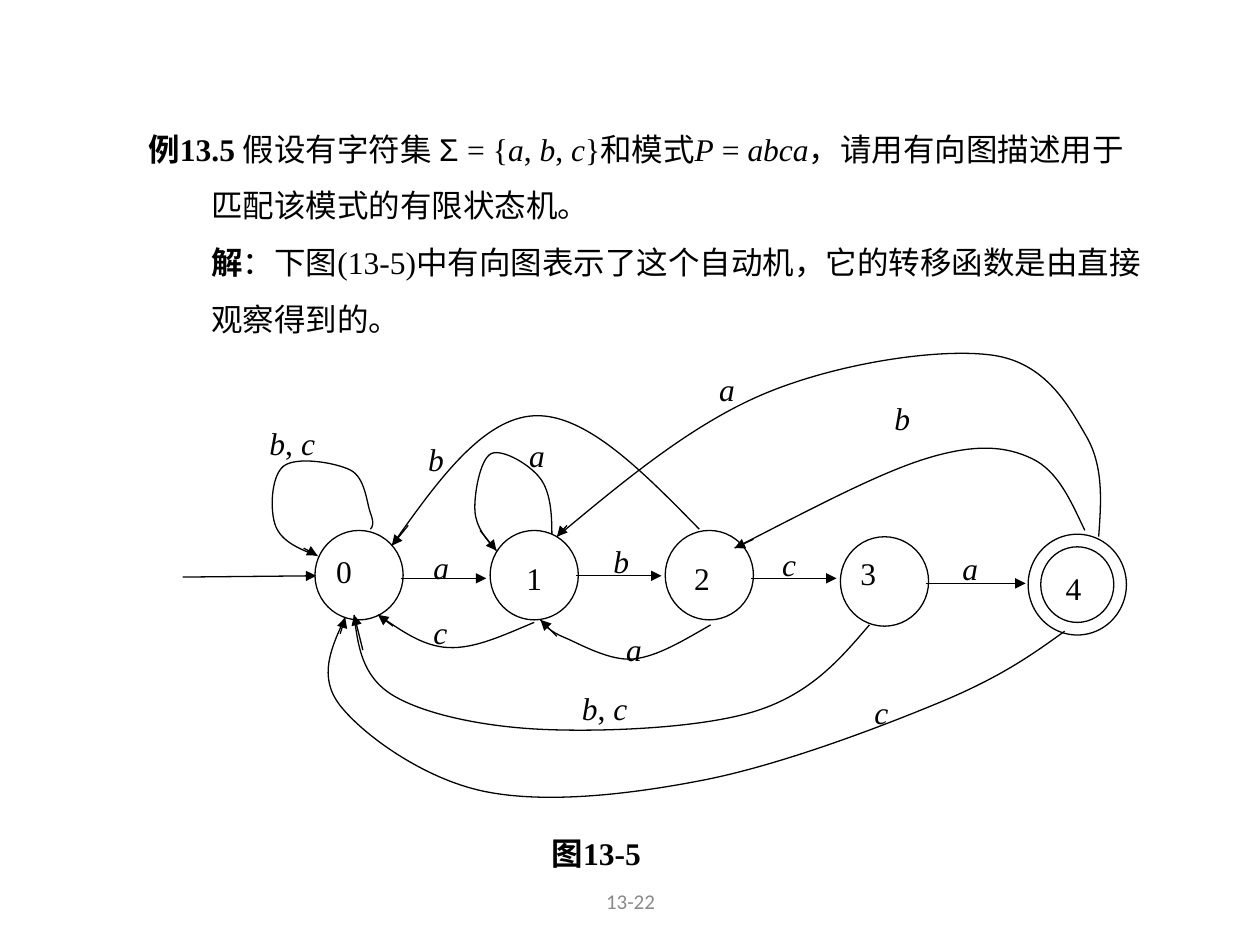
from dataclasses import dataclass
from itertools import groupby

import pptx
import pptx.dml.color
import pptx.enum.shapes
import pptx.enum.text
import pptx.oxml
import pptx.oxml.ns
import pptx.util

PX = 9144  # EMU per px, 100 px to the inch
BLACK = pptx.dml.color.RGBColor(0x00, 0x00, 0x00)
GREY = pptx.dml.color.RGBColor(0x89, 0x89, 0x89)
BODY_FORMAT = {"name": "Times New Roman", "size": pptx.util.Pt(18), "bold": False, "italic": False}
FOOTER_FORMAT = BODY_FORMAT | {"name": "Calibri", "size": pptx.util.Pt(12)}
BOLD = {"bold": True}
ITALIC = {"italic": True}
DRAWING_NS = pptx.oxml.ns.nsdecls("a")
STATE_PITCH = 139
LABEL_SIZE = (91, 70)

Point = tuple[int, int]
Box = tuple[int, int, int, int]


@dataclass
class Label:
    text: str
    corner: Point


@dataclass
class Transition:
    """A smooth curve through points; head runs back from its tip."""
    points: list[Point]
    head: Point


TRANSITIONS = [
    # Loops at 0 and 1
    Transition([(294, 420), (294, 407), (278, 373), (225, 370), (219, 418), (252, 441)], (-11, -6)),
    Transition([(438, 424), (429, 380), (390, 360), (377, 406), (394, 437)], (-13, -16)),
    # 1 to 0, 2 to 0, 2 to 1, 3 to 0
    Transition([(424, 494), (356, 514), (300, 488)], (12, 9)),
    Transition([(555, 420), (424, 330), (311, 433)], (13, -16)),
    Transition([(564, 496), (503, 523), (448, 506), (429, 492)], (13, 13)),
    Transition([(690, 496), (601, 564), (432, 579), (312, 552), (281, 488)], (7, 28)),
    # 4 to 0, 4 to 1, 4 to 2
    Transition([(845, 501), (747, 557), (559, 619), (384, 628), (270, 560), (274, 490)], (-4, 13)),
    Transition([(872, 426), (862, 346), (788, 282), (608, 312), (442, 426)], (8, -9)),
    Transition([(861, 421), (819, 364), (735, 364), (583, 435)], (15, -7)),
]

STATE_NAMES = [
    Label("0", (257, 433)), Label("1", (408, 439)), Label("2", (541, 439)),
    Label("3", (673, 435)), Label("4", (836, 447)),
]
TRANSITION_LABELS = [
    Label("a", (334, 430)), Label("b", (477, 425)), Label("c", (611, 428)), Label("a", (754, 431)),
    Label("b, c", (204, 332)), Label("a", (410, 341)), Label("c", (334, 482)),
    Label("b", (330, 344)), Label("a", (487, 495)), Label("b, c", (452, 542)),
    Label("c", (684, 545)), Label("a", (561, 289)), Label("b", (700, 312)),
]

QUESTION = [
    ("例13.5 ", BOLD), ("假设有字符集 ", {}), ("Σ ", {"name": "Arial"}), ("= {", {}),
    ("a", ITALIC), (", ", {}), ("b", ITALIC), (", ", {}), ("c", ITALIC), ("}和模式", {}),
    ("P", ITALIC), (" = ", {}), ("abca", ITALIC),
    ("，请用有向图描述用于匹配该模式的有限状态机。", {}),
]
ANSWER = [
    ("解", BOLD),
    ("：下图(13-5)中有向图表示了这个自动机，它的转移函数是由直接观察得到的。", {}),
]


def emu(*lengths: int) -> list[int]:
    return [length * PX for length in lengths]


def add_text_box(slide, box: Box):
    frame = slide.shapes.add_textbox(*emu(*box)).text_frame
    frame.word_wrap = True
    return frame


def add_runs(paragraph, runs, base=BODY_FORMAT, color=BLACK) -> None:
    for text, changes in runs:
        run = paragraph.add_run()
        run.text = text
        for attribute, value in (base | changes).items():
            setattr(run.font, attribute, value)
        run.font.color.rgb = color


def set_line(shape) -> None:
    shape.line.color.rgb = BLACK
    shape.line.width = pptx.util.Pt(0.75)


def draw_circle(slide, box: Box) -> None:
    circle = slide.shapes.add_shape(pptx.enum.shapes.MSO_SHAPE.OVAL, *emu(*box))
    circle.shadow.inherit = False
    circle.fill.background()
    set_line(circle)


def draw_arrow(slide, start: Point, end: Point) -> None:
    line = slide.shapes.add_connector(
        pptx.enum.shapes.MSO_CONNECTOR.STRAIGHT, *emu(*start, *end))
    set_line(line)
    line.line._get_or_add_ln().append(
        pptx.oxml.parse_xml(f'<a:tailEnd {DRAWING_NS} type="triangle"/>'))
    line._element.spPr.append(pptx.oxml.parse_xml(f"<a:effectLst {DRAWING_NS}/>"))


def middle(one: Point, other: Point) -> Point:
    return round((one[0] + other[0]) / 2), round((one[1] + other[1]) / 2)


def bezier_points(points: list[Point]) -> list[Point]:
    """Give two controls and an end for each span, each joint following its neighbours."""
    entering, leaving = {}, {}
    for i in range(1, len(points) - 1):
        (x, y), before, after = points[i], points[i - 1], points[i + 1]
        dx, dy = (after[0] - before[0]) / 6, (after[1] - before[1]) / 6
        entering[i] = round(x - dx), round(y - dy)
        leaving[i] = round(x + dx), round(y + dy)
    last = len(points) - 1
    leaving[0] = middle(points[0], entering[1])
    entering[last] = middle(leaving[last - 1], points[last])
    return [point for i in range(last)
            for point in (leaving[i], entering[i + 1], points[i + 1])]


def draw_transition(slide, transition: Transition) -> None:
    builder = slide.shapes.build_freeform(*transition.points[0], scale=PX)
    builder.add_line_segments(bezier_points(transition.points), close=False)
    curve = builder.convert_to_shape()
    # Join every three straight segments into one Bézier segment
    segments = curve._element.findall(".//" + pptx.oxml.ns.qn("a:lnTo"))
    for first in range(0, len(segments), 3):
        bezier = pptx.oxml.parse_xml(f"<a:cubicBezTo {DRAWING_NS}/>")
        segments[first].addprevious(bezier)
        for segment in segments[first:first + 3]:
            bezier.append(segment[0])
            segment.getparent().remove(segment)
    curve.shadow.inherit = False
    curve.fill.background()
    set_line(curve)
    tip, back = transition.points[-1], transition.head
    draw_arrow(slide, (tip[0] + back[0], tip[1] + back[1]), tip)


def draw_label(slide, label: Label) -> None:
    runs = [("".join(part), ITALIC if letters else {})
            for letters, part in groupby(label.text, str.isalpha)]
    add_runs(add_text_box(slide, (*label.corner, *LABEL_SIZE)).paragraphs[0], runs)


def draw_exercise(slide) -> None:
    frame = add_text_box(slide, (108, 83, 808, 190))
    frame.auto_size = pptx.enum.text.MSO_AUTO_SIZE.SHAPE_TO_FIT_TEXT
    for paragraph, runs, indent in (
            (frame.paragraphs[0], QUESTION, -50), (frame.add_paragraph(), ANSWER, 0)):
        paragraph.line_spacing = 1.5
        properties = paragraph._p.get_or_add_pPr()
        properties.set("marL", str(50 * PX))
        properties.set("indent", str(indent * PX))
        add_runs(paragraph, runs)


def main() -> None:
    presentation = pptx.Presentation()
    presentation.slide_width, presentation.slide_height = emu(1000, 750)
    slide = presentation.slides.add_slide(presentation.slide_layouts[6])
    draw_exercise(slide)

    # States, the last one with a double ring
    for i, top in enumerate((421, 421, 421, 426)):
        draw_circle(slide, (250 + STATE_PITCH * i, top, 70, 71))
    for inset in (0, 10):
        draw_circle(slide, (816 + inset, 424 + inset, 78 - 2 * inset, 80 - 2 * inset))

    # Start arrow and steps to the next state
    draw_arrow(slide, (145, 458), (251, 457))
    for i, (y, length) in enumerate(((459, 68), (457, 68), (459, 68), (463, 79))):
        left = 318 + STATE_PITCH * i
        draw_arrow(slide, (left, y), (left + length, y))

    # Curved transitions and lettering
    for transition in TRANSITIONS:
        draw_transition(slide, transition)
    for label in STATE_NAMES + TRANSITION_LABELS:
        draw_label(slide, label)

    # Caption and page number
    caption = add_text_box(slide, (428, 657, 133, 40))
    add_runs(caption.paragraphs[0], [("图13-5", BOLD)])
    footer = add_text_box(slide, (342, 695, 317, 40))
    footer.vertical_anchor = pptx.enum.text.MSO_ANCHOR.MIDDLE
    footer.paragraphs[0].alignment = pptx.enum.text.PP_ALIGN.CENTER
    add_runs(footer.paragraphs[0], [("13-22", {})], FOOTER_FORMAT, GREY)

    presentation.save("out.pptx")


if __name__ == "__main__":
    main()
